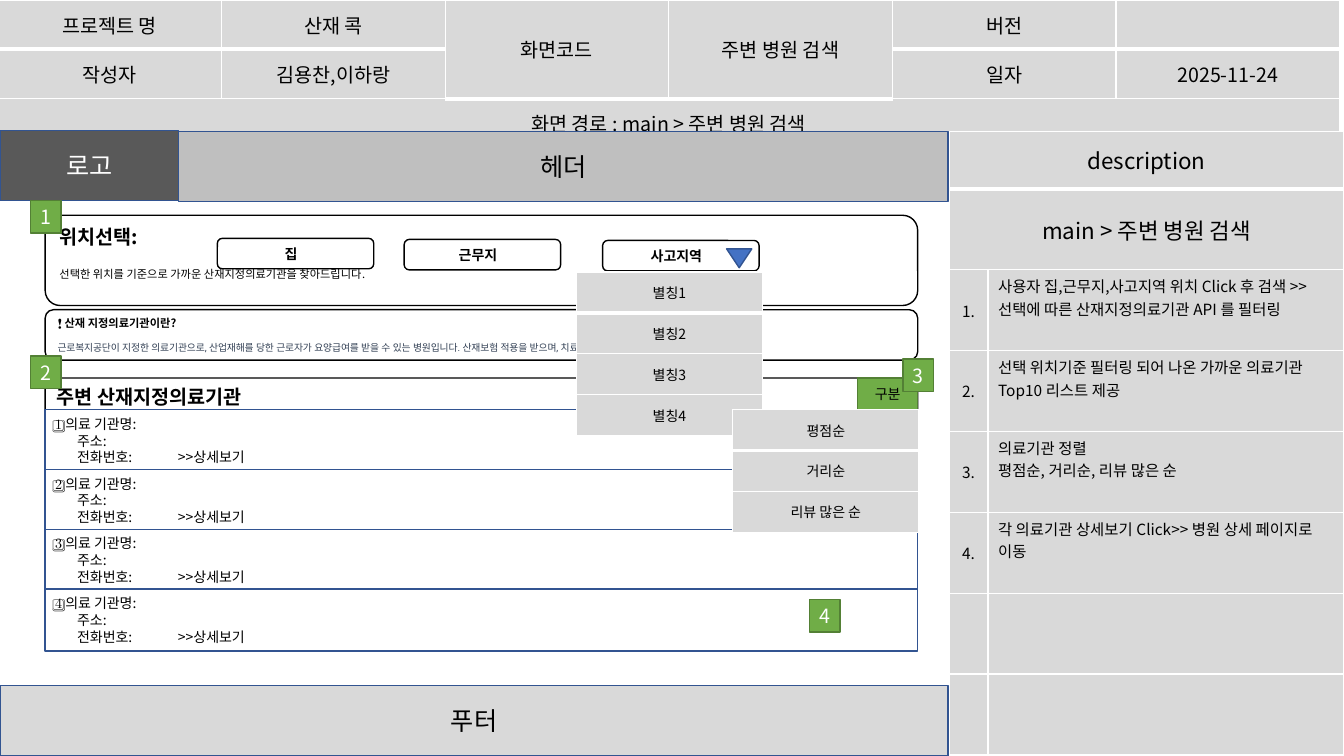
from lxml.etree import SubElement as Sub
from pptx import Presentation
from pptx.dml.color import RGBColor as Rgb
from pptx.enum.shapes import MSO_SHAPE as Kind
from pptx.enum.text import MSO_ANCHOR as Anchor, PP_ALIGN as Align
from pptx.oxml.ns import qn
from pptx.util import Pt

PX = 9525
HEX = {
    "black": "000000", "white": "FFFFFF", "pale": "D9D9D9", "mid": "BFBFBF",
    "dark": "595959", "navy": "325491", "blue": "4472C4", "green": "70AD47",
    "moss": "538035", "slate": "334155",
}
INK = {name: Rgb.from_string(code) for name, code in HEX.items()}
SANS = "Noto Sans CJK KR"
MID, LEFT = Align.CENTER, Align.LEFT

# look: font values, ink, alignment
LOOKS = {
    "top": ({"size": Pt(14), "name": SANS}, "black", MID),
    "head": ({"size": Pt(16), "name": SANS}, "black", MID),
    "num": ({"size": Pt(11), "name": SANS}, "black", MID),
    "note": ({"size": Pt(11), "name": SANS}, "black", LEFT),
    "item": ({"size": Pt(10), "name": SANS}, "black", MID),
    "band": ({"size": Pt(18), "name": SANS}, "black", MID),
    "logo": ({"size": Pt(18), "name": SANS}, "white", MID),
    "pin": ({"size": Pt(14), "name": SANS}, "white", MID),
    "title": ({"size": Pt(14), "name": SANS, "bold": True}, "black", LEFT),
    "button": ({"size": Pt(10), "name": SANS, "bold": True}, "black", MID),
    "hint": ({"size": Pt(8), "name": SANS}, "black", LEFT),
    "ask": ({"size": Pt(8), "name": SANS, "bold": True}, "black", LEFT),
    "info": ({"size": Pt(7), "name": "Roboto"}, "slate", LEFT),
    "clinic": ({"size": Pt(10), "name": SANS}, "black", LEFT),
    "sub": ({"size": Pt(10), "name": SANS}, "black", LEFT),
}
GAPS = {"hint": 14, "info": 9}

deck = Presentation()
deck.slide_width, deck.slide_height = 1280 * PX, 720 * PX
slide = deck.slides.add_slide(deck.slide_layouts[6])


def write(frame, lines):
    """Fill a text frame with (text, look) paragraphs."""
    frame.word_wrap = True
    for i, (text, look) in enumerate(lines):
        para = frame.paragraphs[0] if i == 0 else frame.add_paragraph()
        font, ink, para.alignment = LOOKS[look]
        if i and look in GAPS:
            para.space_before = Pt(GAPS[look])
        if look == "sub":
            props = para._p.get_or_add_pPr()
            props.set("marL", str(21 * PX))
            props.set("indent", "0")
            tabs = Sub(props, qn("a:tabLst"))
            Sub(tabs, qn("a:tab"), pos=str(713 * PX), algn="l")
        run = para.add_run()
        run.text = text
        for key, value in font.items():
            setattr(run.font, key, value)
        run.font.color.rgb = INK[ink]
        Sub(run._r.get_or_add_rPr(), qn("a:ea"), typeface=font["name"])


def grid(left, top, cols, rows, cells, spans=()):
    """Add a pale table; cells maps (row, column) to paragraphs."""
    table = slide.shapes.add_table(
        len(rows), len(cols), left * PX, top * PX,
        sum(cols) * PX, sum(rows) * PX).table
    table.first_row = table.horz_banding = False
    for col, wide in zip(table.columns, cols):
        col.width = wide * PX
    for r, (row, high) in enumerate(zip(table.rows, rows)):
        row.height = high * PX
        for c, cell in enumerate(row.cells):
            lines = cells.get((r, c), [])
            note = bool(lines) and lines[0][1] == "note"
            cell.vertical_anchor = Anchor.TOP if note else Anchor.MIDDLE
            props = cell._tc.get_or_add_tcPr()
            for side in "LRTB":
                thick = (r, side) in ((0, "B"), (1, "T"))
                edge = Sub(props, qn(f"a:ln{side}"),
                           w=str(Pt(3 if thick else 1)))
                fill = Sub(edge, qn("a:solidFill"))
                Sub(fill, qn("a:srgbClr"), val=HEX["white"])
            cell.fill.solid()
            cell.fill.fore_color.rgb = INK["pale"]
            write(cell.text_frame, lines)
    for start, end in spans:
        table.cell(*start).merge(table.cell(*end))


meta = {
    (0, 0): "프로젝트 명", (0, 1): "산재 콕", (0, 2): "화면코드",
    (0, 3): "주변 병원 검색", (0, 4): "버전", (1, 0): "작성자",
    (1, 1): "김용찬,이하랑", (1, 4): "일자", (1, 5): "2025-11-24",
    (2, 0): "화면 경로 : main > 주변 병원 검색",
}
grid(-2, 0, [213] * 6, [47] * 3,
     {spot: [(text, "top")] for spot, text in meta.items()},
     [((0, 2), (1, 2)), ((0, 3), (1, 3)), ((2, 0), (2, 5))])

notes = [
    ["사용자 집,근무지,사고지역 위치 Click 후 검색 >> 선택에 따른 산재지정의료기관 API 를 필터링"],
    ["선택 위치기준 필터링 되어 나온 가까운 의료기관 Top10 리스트 제공"],
    ["의료기관 정렬", "평점순, 거리순, 리뷰 많은 순"],
    ["각 의료기관 상세보기 Click>> 병원 상세 페이지로 이동"],
]
side = {(0, 0): [("description", "head")],
        (1, 0): [("main > 주변 병원 검색", "head")]}
for n, texts in enumerate(notes, 1):
    side[n + 1, 0] = [(f"{n}.", "num")]
    side[n + 1, 1] = [(text, "note") for text in texts]
grid(904, 125, [37, 339], [55] + [77] * 7, side,
     [((0, 0), (0, 1)), ((1, 0), (1, 1))])

place = [("위치선택:", "title"),
         ("선택한 위치를 기준으로 가까운 산재지정의료기관을 찾아드립니다.", "hint")]
about = [("❗ 산재 지정의료기관이란?", "ask"),
         ("근로복지공단이 지정한 의료기관으로, 산업재해를 당한 근로자가 요양급여를 받을 수 있는 병원입니다. "
          "산재보험 적용을 받으며, 치료비 부담 없이 진료를 받으실 수 있습니다.", "info")]
RECT, ROUND = Kind.RECTANGLE, Kind.ROUNDED_RECTANGLE
boxes = [
    (RECT, (170, 125, 733, 67), "mid", "navy", [("헤더", "band")]),
    (RECT, (0, 124, 170, 67), "dark", "navy", [("로고", "logo")]),
    (RECT, (0, 653, 903, 67), "pale", "navy", [("푸터", "band")]),
    (ROUND, (43, 205, 831, 86), "white", "black", place),
    (ROUND, (43, 295, 831, 48), "white", "black", about),
    (ROUND, (43, 360, 831, 35), "white", "black",
     [("주변 산재지정의료기관", "title")]),
]
for x, y, text in ((207, 227, "집"), (385, 228, "근무지"), (574, 229, "사고지역")):
    boxes.append((ROUND, (x, y, 149, 29), "white", "black", [(text, "button")]))
for i in range(4):
    lines = [(f"{i + 1}️⃣ 의료 기관명:", "clinic"), ("주소:", "sub"),
             ("전화번호:\t>>상세보기", "sub")]
    boxes.append((RECT, (43, 390 + 57 * i, 831, 59), "white", "navy", lines))
boxes.append((Kind.ISOSCELES_TRIANGLE, (692, 237, 24, 18), "blue", "navy", []))
boxes.append((RECT, (817, 360, 57, 30), "green", "moss", [("구분", "item")]))
for n, (x, y) in enumerate(((29, 191), (29, 339), (860, 342), (771, 571)), 1):
    boxes.append((RECT, (x, y, 29, 31), "green", "moss", [(str(n), "pin")]))

for kind, rect, fill, edge, lines in boxes:
    box = slide.shapes.add_shape(kind, *(n * PX for n in rect))
    box.shadow.inherit = False
    box.fill.solid()
    box.fill.fore_color.rgb = INK[fill]
    box.line.color.rgb = INK[edge]
    box.line.width = Pt(1)
    if kind == Kind.ISOSCELES_TRIANGLE:
        box.rotation = 180
    frame = box.text_frame
    frame.vertical_anchor = Anchor.TOP if lines is place else Anchor.MIDDLE
    if lines and lines[0][1] == "button":
        frame.margin_right = 18 * PX
    write(frame, lines)

menus = [
    (549, 259, [f"별칭{n}" for n in range(1, 5)]),
    (698, 390, ["평점순", "거리순", "리뷰 많은 순"]),
]
for x, y, names in menus:
    grid(x, y, [177], [39] * len(names),
         {(r, 0): [(name, "item")] for r, name in enumerate(names)})

deck.save("out.pptx")
